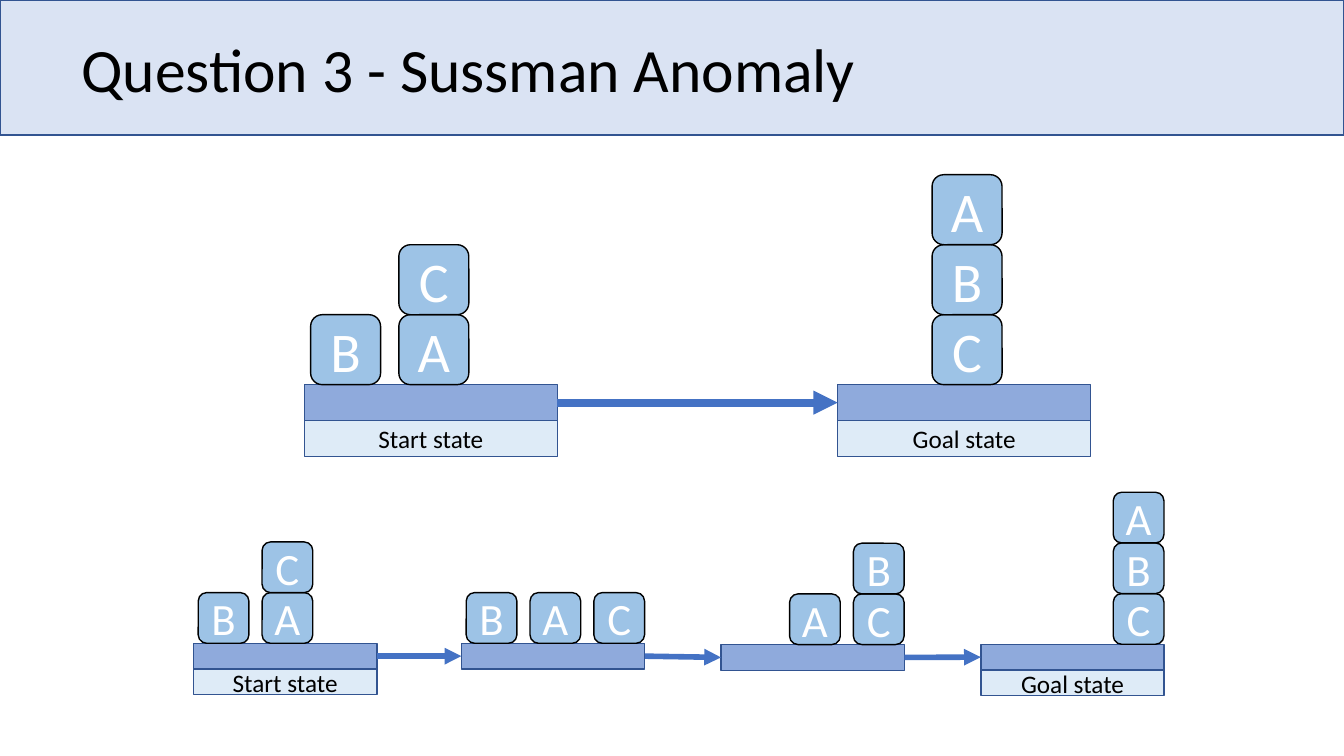
from dataclasses import dataclass
from itertools import pairwise

from lxml.etree import SubElement
from pptx import Presentation
from pptx.dml.color import RGBColor
from pptx.enum.shapes import MSO_CONNECTOR, MSO_SHAPE
from pptx.enum.text import MSO_ANCHOR, PP_ALIGN
from pptx.oxml.ns import qn
from pptx.shapes.autoshape import Shape
from pptx.slide import Slide
from pptx.text.text import TextFrame
from pptx.util import Pt

FONT = "Calibri"
COLOURS = {
    "band": "DAE3F3",
    "table": "8FAADC",
    "label": "DEEBF7",
    "block": "9DC3E6",
    "border": "325491",
    "arrow": "4472C4",
    "black": "000000",
    "white": "FFFFFF",
}


@dataclass(frozen=True)
class Scale:
    """Sizes, in points, shared by all states of one row."""
    table_width: float
    table_height: float
    block: float
    first_column: float
    column_pitch: float
    letter_size: float
    arrow_width: float


@dataclass(frozen=True)
class State:
    """A table with stacks of blocks, each stack listed from the bottom up."""
    left: float
    top: float
    stacks: tuple[str, ...]
    label: str = ""


LARGE = Scale(180.8, 25.6, 50, 4.5, 63, 40, 5.75)
SMALL = Scale(131, 18.4, 36.2, 3.4, 45.6, 32, 4)

ROWS = (
    (SMALL, (
        State(138.2, 459.5, ("B", "AC"), "Start state"),
        State(329.6, 459.5, ("B", "A", "C")),
        State(515, 460.4, ("", "A", "CB")),
        State(700.6, 460.2, ("", "", "CBA"), "Goal state"),
    )),
    (LARGE, (
        State(217.4, 274.8, ("B", "AC"), "Start state"),
        State(598.3, 274.8, ("", "CBA"), "Goal state"),
    )),
)


def colour(name: str) -> RGBColor:
    return RGBColor.from_string(COLOURS[name])


def write(frame: TextFrame, text: str, size: float, ink: str, alignment: PP_ALIGN) -> None:
    frame.vertical_anchor = MSO_ANCHOR.MIDDLE
    paragraph = frame.paragraphs[0]
    paragraph.alignment = alignment
    run = paragraph.add_run()
    run.text = text
    run.font.name = FONT
    run.font.size = Pt(size)
    run.font.color.rgb = colour(ink)


def add_box(slide: Slide, kind: MSO_SHAPE, left: float, top: float, width: float,
            height: float, fill: str, border: str) -> Shape:
    shape = slide.shapes.add_shape(kind, Pt(left), Pt(top), Pt(width), Pt(height))
    shape.shadow.inherit = False
    shape.fill.solid()
    shape.fill.fore_color.rgb = colour(fill)
    shape.line.color.rgb = colour(border)
    shape.line.width = Pt(1)
    return shape


def add_state(slide: Slide, state: State, scale: Scale) -> Shape:
    table = add_box(slide, MSO_SHAPE.RECTANGLE, state.left, state.top,
                    scale.table_width, scale.table_height, "table", "border")
    for column, stack in enumerate(state.stacks):
        left = state.left + scale.first_column + column * scale.column_pitch
        for level, letter in enumerate(stack, start=1):
            block = add_box(slide, MSO_SHAPE.ROUNDED_RECTANGLE, left,
                            state.top - level * scale.block,
                            scale.block, scale.block, "block", "black")
            write(block.text_frame, letter, scale.letter_size, "white", PP_ALIGN.CENTER)
    if state.label:
        label = add_box(slide, MSO_SHAPE.RECTANGLE, state.left, state.top + scale.table_height,
                        scale.table_width, scale.table_height, "label", "border")
        write(label.text_frame, state.label, 18, "black", PP_ALIGN.CENTER)
    return table


def add_arrow(slide: Slide, source: Shape, target: Shape, width: float) -> None:
    arrow = slide.shapes.add_connector(MSO_CONNECTOR.STRAIGHT, 0, 0, 0, 0)
    arrow.begin_connect(source, 3)
    arrow.end_connect(target, 1)
    arrow.line.color.rgb = colour("arrow")
    arrow.line.width = Pt(width)
    SubElement(arrow.line._get_or_add_ln(), qn("a:tailEnd"), type="triangle")
    SubElement(arrow._element.spPr, qn("a:effectLst"))


def add_title(slide: Slide, text: str) -> None:
    title = slide.shapes.title
    title.left, title.top, title.width, title.height = Pt(51), Pt(-0.5), Pt(828), Pt(104.4)
    write(title.text_frame, text, 44, "black", PP_ALIGN.LEFT)
    title.text_frame.paragraphs[0].line_spacing = 0.9
    # The band lies behind the title
    band = add_box(slide, MSO_SHAPE.RECTANGLE, 0, 0, 960, 96.4, "band", "border")
    title._element.addprevious(band._element)


def main() -> None:
    presentation = Presentation()
    presentation.slide_width, presentation.slide_height = Pt(960), Pt(540)
    slide = presentation.slides.add_slide(presentation.slide_layouts[5])
    add_title(slide, "Question 3 - Sussman Anomaly")

    # Rows of states, with an arrow from each table to the next
    for scale, states in ROWS:
        tables = [add_state(slide, state, scale) for state in states]
        for source, target in pairwise(tables):
            add_arrow(slide, source, target, scale.arrow_width)

    presentation.save("out.pptx")


if __name__ == "__main__":
    main()
